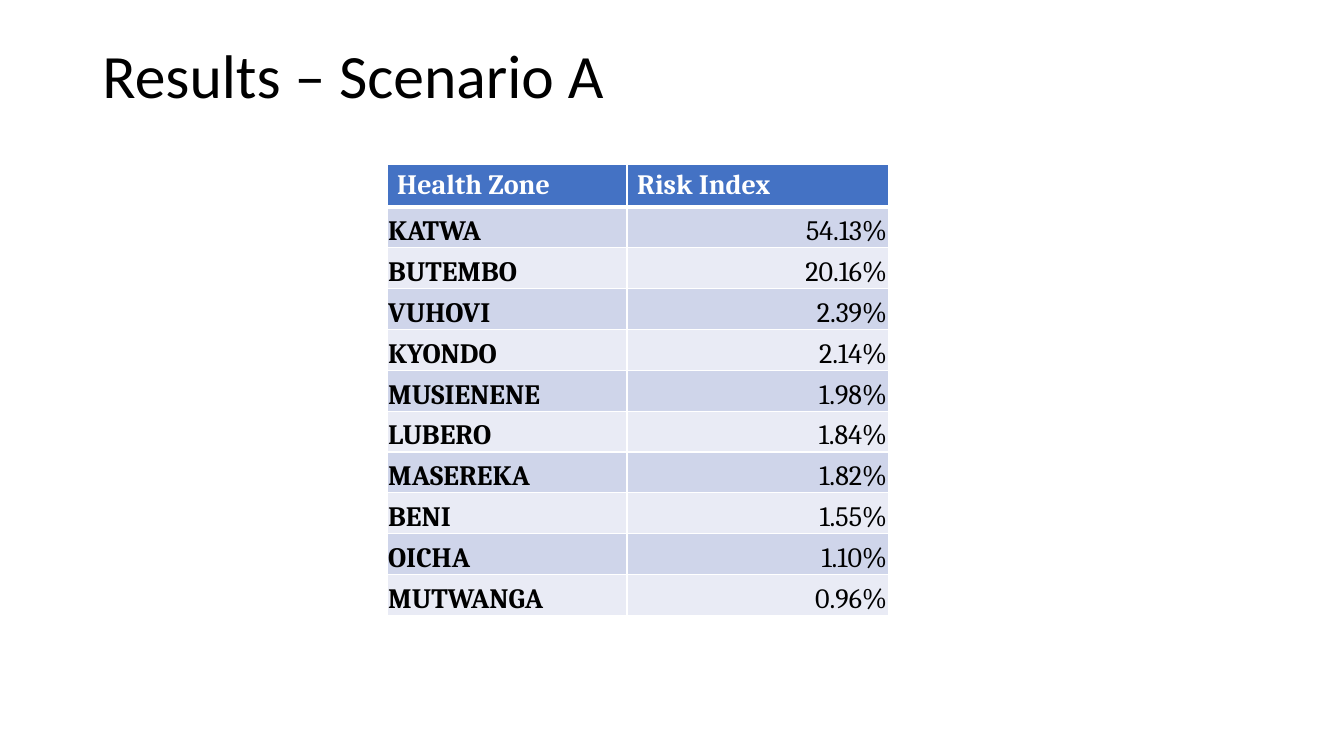
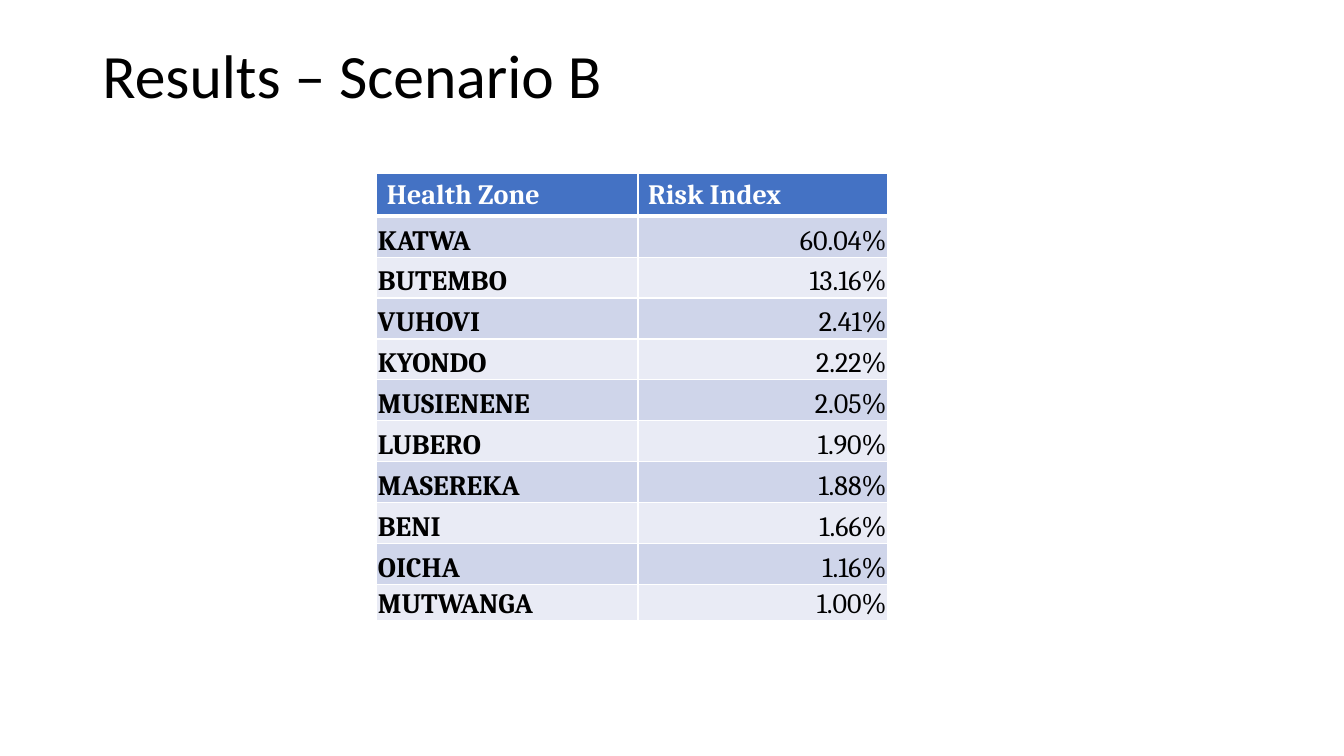
from dataclasses import dataclass

from lxml import etree
from pptx import Presentation
from pptx.dml.color import RGBColor
from pptx.enum.text import MSO_ANCHOR, MSO_AUTO_SIZE, PP_ALIGN
from pptx.oxml.ns import qn
from pptx.util import Pt

LEFT, RIGHT = PP_ALIGN.LEFT, PP_ALIGN.RIGHT
TOP, MIDDLE, BOTTOM = MSO_ANCHOR.TOP, MSO_ANCHOR.MIDDLE, MSO_ANCHOR.BOTTOM
NO_AUTOFIT = MSO_AUTO_SIZE.NONE
TITLE_ONLY = 5


# Shared style
@dataclass(frozen=True)
class Theme:
    white: str = "FFFFFF"
    black: str = "000000"
    header: str = "4472C4"
    bands: tuple = ("CFD5EA", "E9EBF5")
    title_font: str = "Calibri"
    table_font: str = "Cambria"
    title_size: float = 44
    table_size: float = 20
    title_box: tuple = (66, 28.8, 828, 104.4)
    row_height: float = 29.2
    border: float = 1
    header_border: float = 3


HEADINGS = ("Health Zone", "Risk Index")
ZONES = ("KATWA", "BUTEMBO", "VUHOVI", "KYONDO", "MUSIENENE",
         "LUBERO", "MASEREKA", "BENI", "OICHA", "MUTWANGA")

# What differs between the scenarios
SCENARIOS = (
    {"name": "A", "left": 276.5, "top": 117.4, "widths": (171.4, 186.5),
     "last_height": 29.2,
     "risks": ("54.13%", "20.16%", "2.39%", "2.14%", "1.98%",
               "1.84%", "1.82%", "1.55%", "1.10%", "0.96%")},
    {"name": "B", "left": 269.2, "top": 124.2, "widths": (186.5, 178.4),
     "last_height": 26,
     "risks": ("60.04%", "13.16%", "2.41%", "2.22%", "2.05%",
               "1.90%", "1.88%", "1.66%", "1.16%", "1.00%")},
)


def set_values(target, values):
    for name, value in values.items():
        setattr(target, name, value)


class Deck:
    def __init__(self, theme):
        self.theme = theme
        self.presentation = Presentation()
        set_values(self.presentation,
                   {"slide_width": Pt(960), "slide_height": Pt(540)})
        self.slide = None

    def add_slide(self):
        layout = self.presentation.slide_layouts[TITLE_ONLY]
        self.slide = self.presentation.slides.add_slide(layout)

    def format_text(self, paragraph, font, size, color, bold, alignment):
        paragraph.alignment = alignment
        set_values(paragraph.font, {"name": font, "size": Pt(size), "bold": bold})
        paragraph.font.color.rgb = RGBColor.from_string(color)

    def title(self, text):
        shape = self.slide.shapes.title
        sides = ("left", "top", "width", "height")
        set_values(shape, dict(zip(sides, map(Pt, self.theme.title_box))))
        frame = shape.text_frame
        set_values(frame, {"text": text, "vertical_anchor": TOP,
                           "auto_size": NO_AUTOFIT, "word_wrap": True})
        paragraph = frame.paragraphs[0]
        paragraph.line_spacing = 0.9
        self.format_text(paragraph, self.theme.title_font, self.theme.title_size,
                         self.theme.black, False, LEFT)

    def cell_borders(self, cell, widths):
        properties = cell._tc.get_or_add_tcPr()
        for index, (side, width) in enumerate(widths.items()):
            line = etree.Element(qn(f"a:{side}"), w=str(Pt(width)))
            fill = etree.SubElement(line, qn("a:solidFill"))
            etree.SubElement(fill, qn("a:srgbClr"), val=self.theme.white)
            properties.insert(index, line)

    def cell(self, cell, text, row, column):
        theme = self.theme
        is_header = row == 0
        cell.text = text
        cell.vertical_anchor = MIDDLE if is_header else BOTTOM
        if not is_header:
            set_values(cell, {"margin_left": Pt(0.75), "margin_right": Pt(0.75),
                              "margin_top": Pt(0.75), "margin_bottom": 0})
        self.format_text(cell.text_frame.paragraphs[0],
                         theme.table_font, theme.table_size,
                         theme.white if is_header else theme.black,
                         is_header or column == 0,
                         LEFT if is_header or column == 0 else RIGHT)
        cell.fill.solid()
        color = theme.header if is_header else theme.bands[(row - 1) % 2]
        cell.fill.fore_color.rgb = RGBColor.from_string(color)
        self.cell_borders(cell, {
            "lnL": theme.border, "lnR": theme.border,
            "lnT": theme.header_border if row == 1 else theme.border,
            "lnB": theme.header_border if is_header else theme.border})

    def table(self, rows, left, top, widths, last_height):
        heights = [self.theme.row_height] * (len(rows) - 1) + [last_height]
        frame = self.slide.shapes.add_table(
            len(rows), len(widths), Pt(left), Pt(top),
            Pt(sum(widths)), Pt(sum(heights)))
        table = frame.table
        for column, width in zip(table.columns, widths):
            column.width = Pt(width)
        for row, height in zip(table.rows, heights):
            row.height = Pt(height)
        for row, texts in enumerate(rows):
            for column, text in enumerate(texts):
                self.cell(table.cell(row, column), text, row, column)


def main():
    deck = Deck(Theme())
    # One slide per scenario
    for scenario in SCENARIOS:
        deck.add_slide()
        deck.title(f"Results – Scenario {scenario['name']}")
        deck.table([HEADINGS, *zip(ZONES, scenario["risks"])],
                   scenario["left"], scenario["top"],
                   scenario["widths"], scenario["last_height"])
    deck.presentation.save("out.pptx")


if __name__ == "__main__":
    main()
